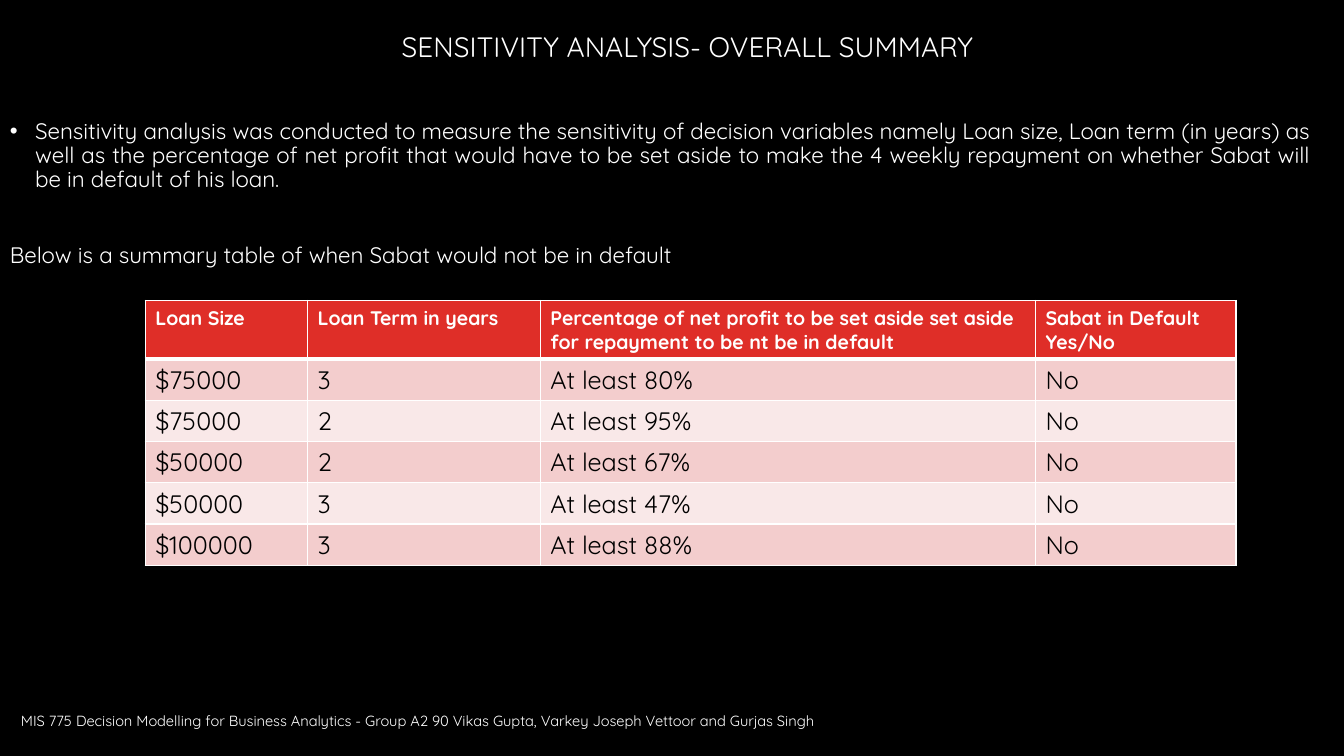
from lxml import etree
from pptx import Presentation
from pptx.dml.color import RGBColor
from pptx.enum.text import MSO_ANCHOR, PP_ALIGN
from pptx.oxml.ns import qn
from pptx.util import Inches, Pt

BLACK = RGBColor(0x00, 0x00, 0x00)
WHITE = RGBColor(0xFF, 0xFF, 0xFF)
RED = RGBColor(0xDF, 0x2E, 0x28)
PINK = RGBColor(0xF3, 0xCD, 0xCD)
PALE_PINK = RGBColor(0xF9, 0xE8, 0xE8)

LEFT, CENTER, JUSTIFY = PP_ALIGN.LEFT, PP_ALIGN.CENTER, PP_ALIGN.JUSTIFY
TOP, MIDDLE = MSO_ANCHOR.TOP, MSO_ANCHOR.MIDDLE

TITLE = "SENSITIVITY ANALYSIS- OVERALL SUMMARY"
FINDING = (
    "Sensitivity analysis was conducted to measure the sensitivity of decision "
    "variables namely Loan size, Loan term (in years) as well as the percentage "
    "of net profit that would have to be set aside to make the 4 weekly repayment "
    "on whether Sabat will be in default of his loan."
)
TABLE_INTRO = "Below is a summary table of when Sabat would not be in default"
FOOTER = (
    "MIS 775 Decision Modelling for Business Analytics - Group A2 90 "
    "Vikas Gupta, Varkey Joseph Vettoor and Gurjas Singh"
)
LOAN_ROWS = [
    (
        "Loan Size",
        "Loan Term in years",
        "Percentage of net profit to be set aside set aside "
        "for repayment to be nt be in default",
        "Sabat in Default\nYes/No",
    ),
    ("$75000", "3", "At least 80%", "No"),
    ("$75000", "2", "At least 95%", "No"),
    ("$50000", "2", "At least 67%", "No"),
    ("$50000", "3", "At least 47%", "No"),
    ("$100000", "3", "At least 88%", "No"),
]
COLUMN_WIDTHS = (1.61, 2.31, 4.91, 1.99)
HEADER_HEIGHT, ROW_HEIGHT = 0.58, 0.41


class SlideBuilder:
    font_name = "Quicksand"

    def __init__(self, presentation):
        self.slide = presentation.slides.add_slide(presentation.slide_layouts[6])
        background = self.slide.background.fill
        background.solid()
        background.fore_color.rgb = BLACK

    def style(self, paragraph, size, color=WHITE, bold=False):
        font = paragraph.font
        font.name, font.size, font.bold = self.font_name, Pt(size), bold
        font.color.rgb = color

    def text(self, place, lines, size, align=LEFT, anchor=MIDDLE, line_spacing=1.0):
        """Add a text box with one paragraph per line and return its frame."""
        frame = self.slide.shapes.add_textbox(*map(Inches, place)).text_frame
        frame.word_wrap = True
        frame.vertical_anchor = anchor
        frame.text = "\n".join(lines)
        for paragraph in frame.paragraphs:
            paragraph.alignment = align
            paragraph.line_spacing = line_spacing
            self.style(paragraph, size)
        return frame

    def bullet(self, paragraph, indent):
        properties = paragraph._p.get_or_add_pPr()
        properties.set("marL", str(Inches(indent)))
        properties.set("indent", str(Inches(-indent)))
        etree.SubElement(properties, qn("a:buFont"), typeface="Arial")
        mark = etree.Element(qn("a:buChar"), char="•")
        properties.find(qn("a:buFont")).addnext(mark)
        default_run = properties.find(qn("a:defRPr"))
        if default_run is not None:
            properties.append(default_run)

    def border(self, cell, side, width):
        line = etree.SubElement(
            cell._tc.get_or_add_tcPr(), qn(f"a:ln{side}"), w=str(Pt(width))
        )
        fill = etree.SubElement(line, qn("a:solidFill"))
        etree.SubElement(fill, qn("a:srgbClr"), val=str(WHITE))

    def table(self, left, top, rows, widths):
        """Add a table with a red header above pink rows of alternating tint."""
        heights = [HEADER_HEIGHT] + [ROW_HEIGHT] * (len(rows) - 1)
        table = self.slide.shapes.add_table(
            len(rows), len(widths), Inches(left), Inches(top),
            Inches(sum(widths)), Inches(sum(heights)),
        ).table
        for column, width in zip(table.columns, widths):
            column.width = Inches(width)
        for row_index, values in enumerate(rows):
            table.rows[row_index].height = Inches(heights[row_index])
            for column_index, value in enumerate(values):
                self.cell(table.cell(row_index, column_index), value, row_index)

    def cell(self, cell, value, row_index):
        is_header = row_index == 0
        cell.text = value
        for paragraph in cell.text_frame.paragraphs:
            if is_header:
                self.style(paragraph, 14, WHITE, bold=True)
            else:
                self.style(paragraph, 18, BLACK)
        self.border(cell, "L", 1)
        self.border(cell, "R", 1)
        self.border(cell, "T", 3 if row_index == 1 else 1)
        self.border(cell, "B", 3 if is_header else 1)
        cell.fill.solid()
        tint = PINK if row_index % 2 else PALE_PINK
        cell.fill.fore_color.rgb = RED if is_header else tint


def main():
    presentation = Presentation()
    presentation.slide_width = Inches(13.33)
    presentation.slide_height = Inches(7.5)
    builder = SlideBuilder(presentation)

    builder.text((2.11, 0.09, 9.42, 0.78), [TITLE], 20, CENTER, line_spacing=0.9)

    body = builder.text(
        (0, 0.76, 13.1, 6.26), [FINDING, TABLE_INTRO], 16, JUSTIFY, TOP, 0.9
    )
    body.margin_top = Inches(0.43)
    finding, table_intro = body.paragraphs
    table_intro.space_before = Pt(37)
    builder.bullet(finding, 0.25)

    builder.text((0.11, 6.95, 9.56, 0.4), [FOOTER], 10.5)
    builder.table(1.44, 2.98, LOAN_ROWS, COLUMN_WIDTHS)

    presentation.save("out.pptx")


if __name__ == "__main__":
    main()
